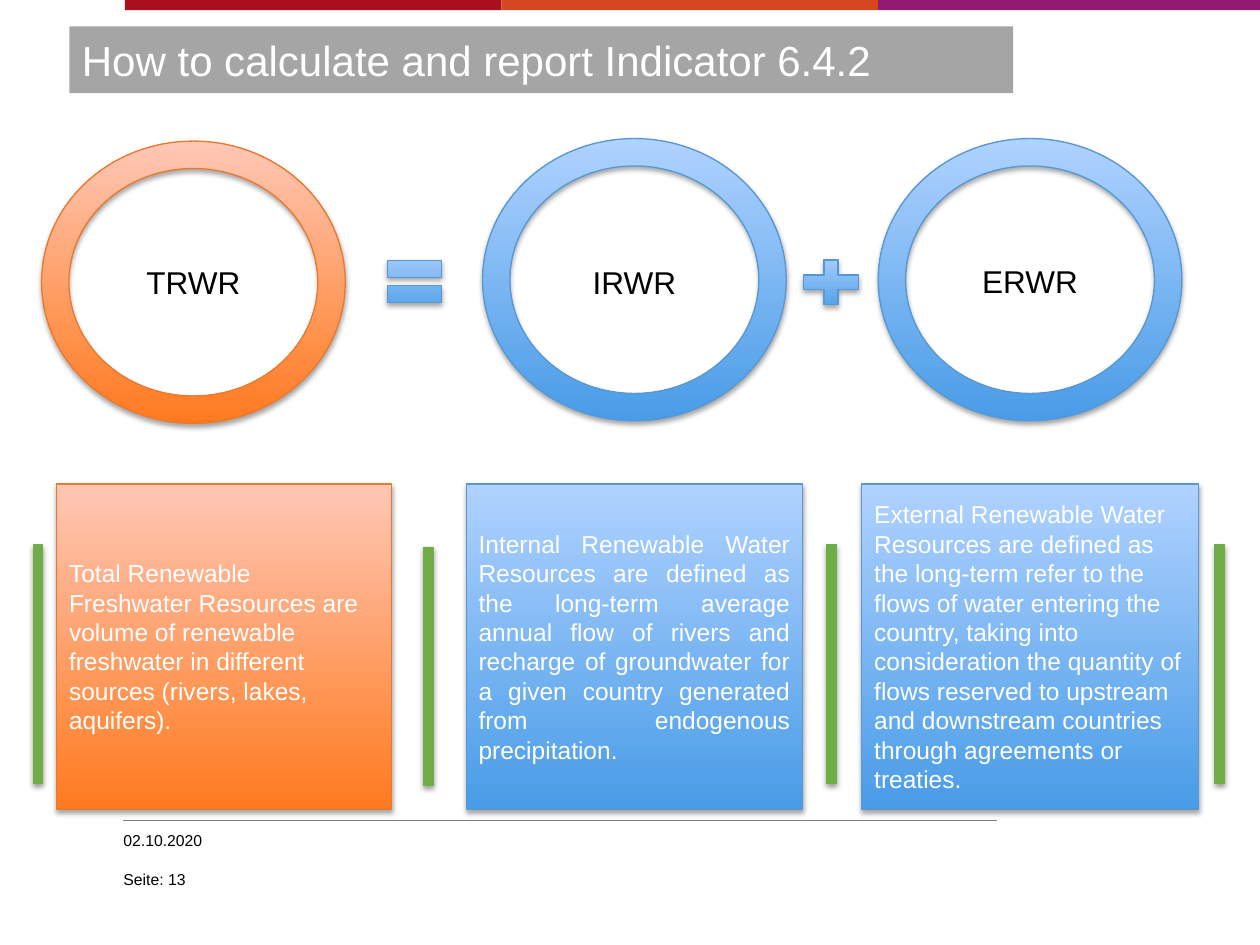
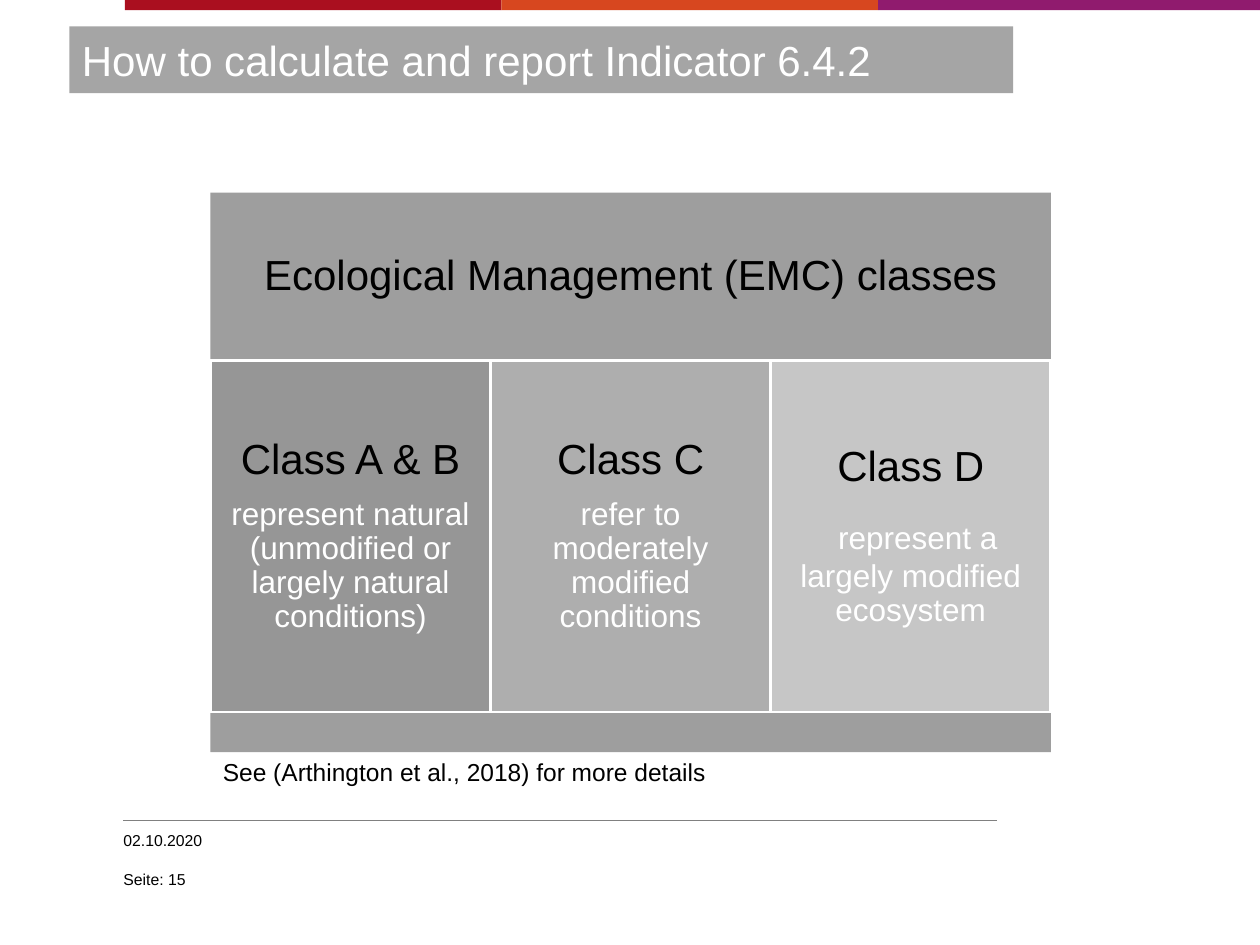
from dataclasses import dataclass

from lxml.etree import SubElement
from pptx import Presentation
from pptx.dml.color import RGBColor
from pptx.enum.shapes import MSO_CONNECTOR, MSO_SHAPE
from pptx.enum.text import MSO_ANCHOR, MSO_AUTO_SIZE, PP_ALIGN
from pptx.oxml.ns import qn
from pptx.util import Inches, Pt

# ---- Content ----
TITLE = "How to calculate and report Indicator 6.4.2"
DATE = "02.10.2020"

# label, definition, style, alignment, ring (left, top), label top, card (left, width)
RESOURCES = [
    ("TRWR", "Total Renewable Freshwater Resources are volume of renewable freshwater "
     "in different sources (rivers, lakes, aquifers).",
     "orange", PP_ALIGN.LEFT, (0.33, 1.12), 2.04, (0.45, 2.66)),
    ("IRWR", "Internal Renewable Water Resources are defined as the long-term average "
     "annual flow of rivers and recharge of groundwater for a given country generated "
     "from endogenous precipitation.",
     "blue", PP_ALIGN.JUSTIFY, (3.83, 1.1), 2.04, (3.7, 2.67)),
    ("ERWR", "External Renewable Water Resources are defined as the long-term refer to "
     "the flows of water entering the country, taking into consideration the quantity "
     "of flows reserved to upstream and downstream countries through agreements or "
     "treaties.",
     "blue", PP_ALIGN.LEFT, (6.97, 1.1), 2.03, (6.84, 2.67)),
]
OPERATORS = [
    (MSO_SHAPE.MATH_EQUAL, (3, 1.95, 0.58, 0.57)),
    (MSO_SHAPE.MATH_PLUS, (6.3, 2, 0.59, 0.48)),
]
SEPARATORS = [(0.3, 4.32), (3.4, 4.34), (6.6, 4.32), (9.68, 4.32)]  # x, top

EMC_HEADING = "Ecological Management (EMC) classes"
# name, description runs as (text, size), fill
EMC_CLASSES = [
    ("Class A & B",
     [("represent natural (unmodified or largely natural conditions)", 18)], "969696"),
    ("Class C", [("refer to moderately modified conditions", 18)], "AEAEAE"),
    ("Class D", [(" ", 29), ("represent a largely modified ecosystem", 18)], "C6C6C6"),
]
EMC_NOTE = "See (Arthington et al., 2018) for more details"


# ---- Theme ----
@dataclass(frozen=True)
class Theme:
    font: str = "Arial"
    black: str = "000000"
    white: str = "FFFFFF"
    title_fill: str = "A5A5A5"
    frame_fill: str = "9E9E9E"
    rule: str = "808080"
    separator: str = "70AD47"
    heading: int = 24
    label: int = 18
    body: int = 14
    footer: int = 9


THEME = Theme()
BANDS = [(0.99, 2.99, "AA0F1F"), (3.98, 2.99, "D7471F"), (6.97, 3.03, "901B6E")]
# bottom colour, top colour, outline
GRADIENTS = {
    "orange": ("FF7A1F", "FFC7B6", "EC792B"),
    "blue": ("499CE7", "B0D2FF", "5698D3"),
}
# opacity %, blur pt, distance pt
SHAPE_SHADOW = (35, 3.1, 1.8)
LINE_SHADOW = (38, 3.1, 1.6)


# ---- Helpers ----
def inches(box):
    return [Inches(value) for value in box]


def color(code):
    return RGBColor.from_string(code)


def set_shadow(shape, shadow=None):
    """Append the effect list; call after fill and line are set."""
    effects = SubElement(shape._element.spPr, qn("a:effectLst"))
    if shadow:
        opacity, blur, distance = shadow
        outer = SubElement(effects, qn("a:outerShdw"), blurRad=str(Pt(blur)),
                           dist=str(Pt(distance)), dir="5400000", rotWithShape="0")
        black = SubElement(outer, qn("a:srgbClr"), val=THEME.black)
        SubElement(black, qn("a:alpha"), val=str(opacity * 1000))


def add_runs(paragraph, runs, code, align=PP_ALIGN.LEFT):
    paragraph.alignment = align
    for text, size in runs:
        run = paragraph.add_run()
        run.text = text
        run.font.name = THEME.font
        run.font.size = Pt(size)
        run.font.color.rgb = color(code)


def add_flat(slide, box, fill, outline=None):
    shape = slide.shapes.add_shape(MSO_SHAPE.RECTANGLE, *inches(box))
    shape.fill.solid()
    shape.fill.fore_color.rgb = color(fill)
    if outline:
        shape.line.color.rgb = color(outline)
        shape.line.width = Pt(2)
    else:
        shape.line.fill.background()
    set_shadow(shape)
    return shape


def add_glossy(slide, kind, box, style):
    bottom, top, outline = GRADIENTS[style]
    shape = slide.shapes.add_shape(kind, *inches(box))
    shape.fill.gradient()
    shape.fill.gradient_angle = 90
    for stop, code in zip(shape.fill.gradient_stops, (bottom, top)):
        stop.color.rgb = color(code)
    shape.line.color.rgb = color(outline)
    shape.line.width = Pt(0.75)
    set_shadow(shape, SHAPE_SHADOW)
    return shape


def add_line(slide, ends, code, width, shadow=None):
    line = slide.shapes.add_connector(MSO_CONNECTOR.STRAIGHT, *inches(ends))
    line.line.color.rgb = color(code)
    line.line.width = Pt(width)
    set_shadow(line, shadow)


def add_text(slide, box, text, size, wrap=True, align=PP_ALIGN.LEFT):
    text_box = slide.shapes.add_textbox(*inches(box))
    text_box.text_frame.word_wrap = wrap
    add_runs(text_box.text_frame.paragraphs[0], [(text, size)], THEME.black, align)
    return text_box.text_frame


def set_margins(frame, margin):
    frame.margin_left = frame.margin_right = Inches(margin)
    frame.margin_top = frame.margin_bottom = Inches(margin)


def add_base_slide(presentation, page):
    """Title-only slide with colour bands, title bar and footer."""
    slide = presentation.slides.add_slide(presentation.slide_layouts[5])
    for left, width, fill in BANDS:
        add_flat(slide, (left, 0, width, 0.08), fill)

    title = slide.shapes.title
    title.left, title.top, title.width, title.height = inches((0.55, 0.21, 7.49, 0.53))
    title.fill.solid()
    title.fill.fore_color.rgb = color(THEME.title_fill)
    title.text_frame.auto_size = MSO_AUTO_SIZE.NONE
    title.text_frame.vertical_anchor = MSO_ANCHOR.MIDDLE
    add_runs(title.text_frame.paragraphs[0], [(TITLE, THEME.heading)], THEME.white)

    add_line(slide, (0.98, 6.51, 7.91, 6.51), THEME.rule, 0.5)
    for text, top, height in ((DATE, 6.58, 0.25), (f"Seite: {page}", 6.89, 0.29)):
        frame = add_text(slide, (0.98, top, 1.34, height), text, THEME.footer, wrap=False)
        set_margins(frame, 0)
        frame.paragraphs[0].line_spacing = Pt(11.8)
    return slide


# ---- Water resources equation ----
def build_resources(presentation):
    slide = add_base_slide(presentation, 13)
    ring_width, ring_height, label_width = 2.41, 2.24, 1.2
    for label, definition, style, align, (left, top), label_top, card_span in RESOURCES:
        ring = add_glossy(slide, MSO_SHAPE.DONUT, (left, top, ring_width, ring_height), style)
        ring.adjustments[0] = 0.097
        label_left = left + (ring_width - label_width) / 2
        add_text(slide, (label_left, label_top, label_width, 0.4), label, THEME.label,
                 wrap=False, align=PP_ALIGN.CENTER)

        card_left, card_width = card_span
        card = add_glossy(slide, MSO_SHAPE.RECTANGLE,
                          (card_left, 3.84, card_width, 2.58), style)
        card.text_frame.vertical_anchor = MSO_ANCHOR.MIDDLE
        add_runs(card.text_frame.paragraphs[0], [(definition, THEME.body)],
                 THEME.white, align)

    for kind, box in OPERATORS:
        add_glossy(slide, kind, box, "blue")
    for x, top in SEPARATORS:
        add_line(slide, (x, top, x, top + 1.9), THEME.separator, 6, LINE_SHADOW)


# ---- Ecological management classes ----
def fill_block(shape, paragraphs):
    frame = shape.text_frame
    frame.vertical_anchor = MSO_ANCHOR.MIDDLE
    set_margins(frame, 0.1)
    for index, (runs, code) in enumerate(paragraphs):
        paragraph = frame.add_paragraph() if index else frame.paragraphs[0]
        paragraph.line_spacing = 0.9
        paragraph.space_after = Pt(0.35 * runs[-1][1])
        add_runs(paragraph, runs, code, PP_ALIGN.CENTER)


def build_classes(presentation):
    slide = add_base_slide(presentation, 15)
    left, width = 1.67, 6.67
    heading = add_flat(slide, (left, 1.53, width, 1.33), THEME.frame_fill)
    fill_block(heading, [([(EMC_HEADING, THEME.heading)], THEME.black)])

    column = width / len(EMC_CLASSES)
    for index, (name, description, fill) in enumerate(EMC_CLASSES):
        block = add_flat(slide, (left + index * column, 2.86, column, 2.8), fill, THEME.white)
        fill_block(block, [([(name, THEME.heading)], THEME.black),
                           (description, THEME.white)])

    add_flat(slide, (left, 5.66, width, 0.31), THEME.frame_fill)
    add_text(slide, (left, 5.96, width, 0.34), EMC_NOTE, THEME.body)


def main():
    presentation = Presentation()
    presentation.slide_width, presentation.slide_height = Inches(10), Inches(7.5)
    build_resources(presentation)
    build_classes(presentation)
    presentation.save("out.pptx")


if __name__ == "__main__":
    main()
